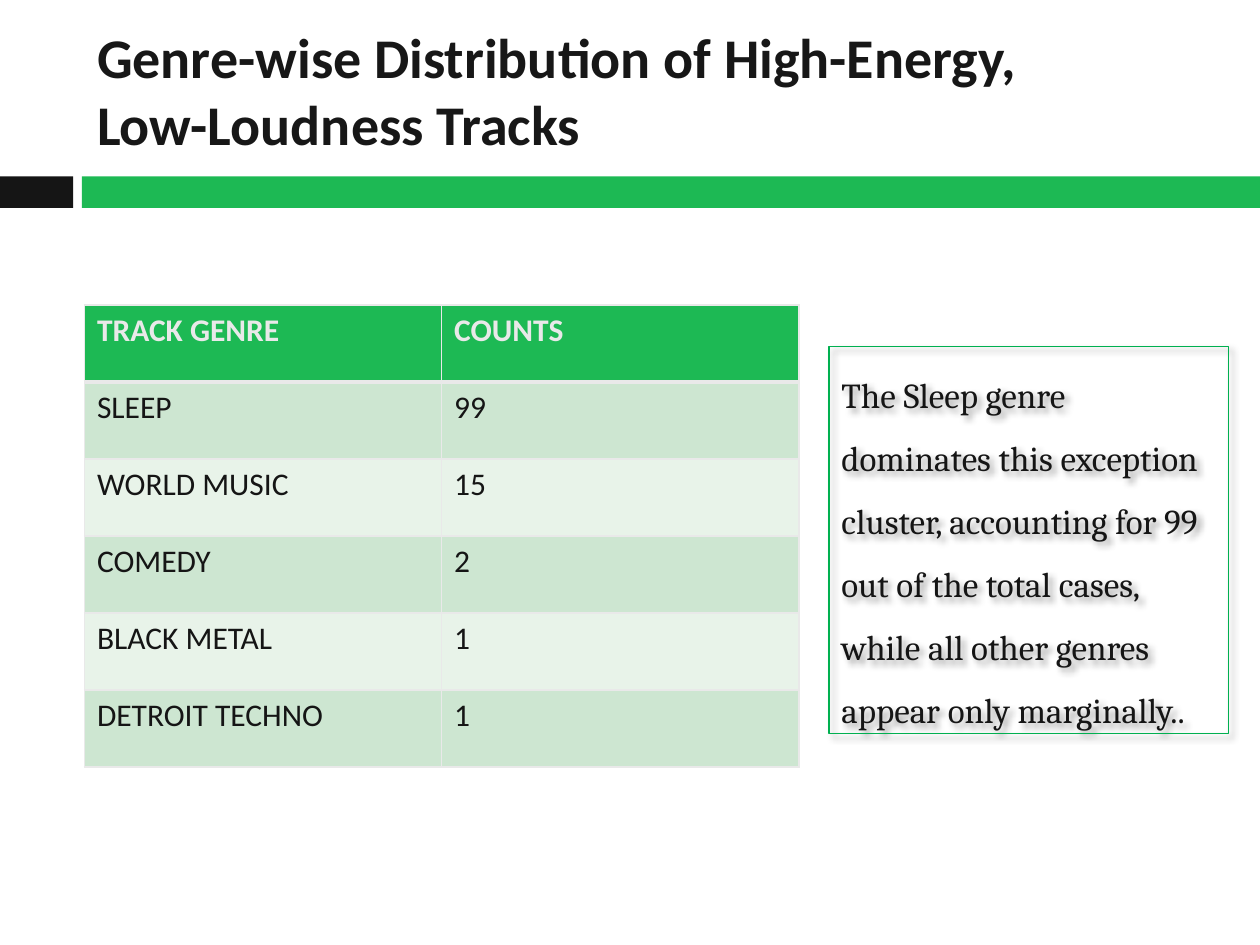
from dataclasses import dataclass

from lxml import etree
from pptx import Presentation
from pptx import util as u
from pptx.dml.color import RGBColor
from pptx.enum import shapes, text
from pptx.oxml import parse_xml
from pptx.oxml.ns import nsdecls, qn


@dataclass(frozen=True)
class Theme:
    green: str = "1DB954"
    dark: str = "151515"
    heading: str = "171717"
    pale: str = "E9E9E9"
    bands: tuple = ("CDE6D1", "E8F3E9")
    outline: str = "00B050"
    sans: str = "Calibri"
    serif: str = "Cambria"
    title_size: int = 32
    table_size: int = 18
    note_size: int = 20


def rgb(value):
    return RGBColor.from_string(value)


def box(*lengths):
    return [u.Inches(n) for n in lengths]


class SlideBuilder:
    def __init__(self, s, theme):
        self.s, self.theme = s, theme

    def format_text(self, tf, color, **values):
        """Apply the same font values to every paragraph."""
        for p in tf.paragraphs:
            p.alignment = text.PP_ALIGN.LEFT
            for name, value in values.items():
                setattr(p.font, name, value)
            p.font.color.rgb = rgb(color)

    def title(self, words, *at):
        sp = self.s.shapes.title
        sp.left, sp.top, sp.width, sp.height = box(*at)
        tf = sp.text_frame
        tf.text = words
        tf.vertical_anchor = text.MSO_ANCHOR.MIDDLE
        tf.auto_size = text.MSO_AUTO_SIZE.NONE
        t = self.theme
        self.format_text(tf, t.heading, name=t.sans,
                         size=u.Pt(t.title_size), bold=True)

    def rect(self, *at, fill=None, line=None):
        sp = self.s.shapes.add_shape(shapes.MSO_SHAPE.RECTANGLE, *box(*at))
        if fill:
            sp.fill.solid()
            sp.fill.fore_color.rgb = rgb(fill)
        else:
            sp.fill.background()
        if line:
            sp.line.color.rgb = rgb(line)
            sp.line.width = u.Pt(0.75)
        else:
            sp.line.fill.background()
        sp.shadow.inherit = False
        return sp

    def note(self, words, *at):
        t = self.theme
        sp = self.rect(*at, line=t.outline)
        # Soft shadow to the lower right
        effects = sp._element.spPr.find(qn("a:effectLst"))
        effects.append(parse_xml(
            f'<a:outerShdw {nsdecls("a")} blurRad="{u.Pt(4)}" dist="{u.Pt(3)}" '
            f'dir="{45 * 60000}" algn="tl" rotWithShape="0">'
            '<a:srgbClr val="000000"><a:alpha val="40000"/></a:srgbClr>'
            '</a:outerShdw>'))
        tf = sp.text_frame
        tf.text = words
        tf.word_wrap = True
        tf.auto_size = text.MSO_AUTO_SIZE.SHAPE_TO_FIT_TEXT
        tf.vertical_anchor = text.MSO_ANCHOR.TOP
        tf.paragraphs[0].line_spacing = 1.5
        self.format_text(tf, t.dark, name=t.serif, size=u.Pt(t.note_size))

    def cell_borders(self, cell, **widths):
        tc_pr = cell._tc.get_or_add_tcPr()
        for side in "LRTB":
            ln = etree.SubElement(tc_pr, qn(f"a:ln{side}"),
                                  w=str(u.Pt(widths.get(side, 1))))
            fill = etree.SubElement(ln, qn("a:solidFill"))
            etree.SubElement(fill, qn("a:srgbClr"), val=self.theme.pale)

    def table(self, rows, *at):
        t = self.theme
        tbl = self.s.shapes.add_table(len(rows), len(rows[0]), *box(*at)).table
        for i, row in enumerate(rows):
            header = i == 0
            fill = t.green if header else t.bands[(i - 1) % 2]
            for j, words in enumerate(row):
                cell = tbl.cell(i, j)
                cell.text = words
                # Heavy rule between the header and the first row
                heavy = {0: {"B": 3}, 1: {"T": 3}}.get(i, {})
                self.cell_borders(cell, **heavy)
                cell.fill.solid()
                cell.fill.fore_color.rgb = rgb(fill)
                self.format_text(cell.text_frame, t.pale if header else t.dark,
                                 name=t.sans, size=u.Pt(t.table_size), bold=header)


def main():
    prs = Presentation()
    prs.slide_width, prs.slide_height = box(10, 7.5)
    theme = Theme()
    slide = SlideBuilder(prs.slides.add_slide(prs.slide_layouts[5]), theme)

    # Divider bars
    slide.rect(0, 1.4, 0.58, 0.25, fill=theme.dark)
    slide.rect(0.65, 1.4, 9.35, 0.25, fill=theme.green)

    # Heading
    slide.title("Genre-wise Distribution of High-Energy, \vLow-Loudness\u00a0Tracks".replace("\u00a0", " "),
                0.67, 0.17, 8.92, 1.08)

    # Counts per genre
    slide.table([
        ("TRACK GENRE", "COUNTS"),
        ("SLEEP", "99"),
        ("WORLD MUSIC", "15"),
        ("COMEDY", "2"),
        ("BLACK METAL", "1"),
        ("DETROIT TECHNO", "1"),
    ], 0.67, 2.42, 5.67, 3.67)

    # Takeaway
    slide.note("The Sleep genre dominates this exception cluster, accounting for 99 "
               "out of the total cases, while all other genres appear only marginally..",
               6.58, 2.75, 3.17, 3.07)

    prs.save("out.pptx")


if __name__ == "__main__":
    main()
